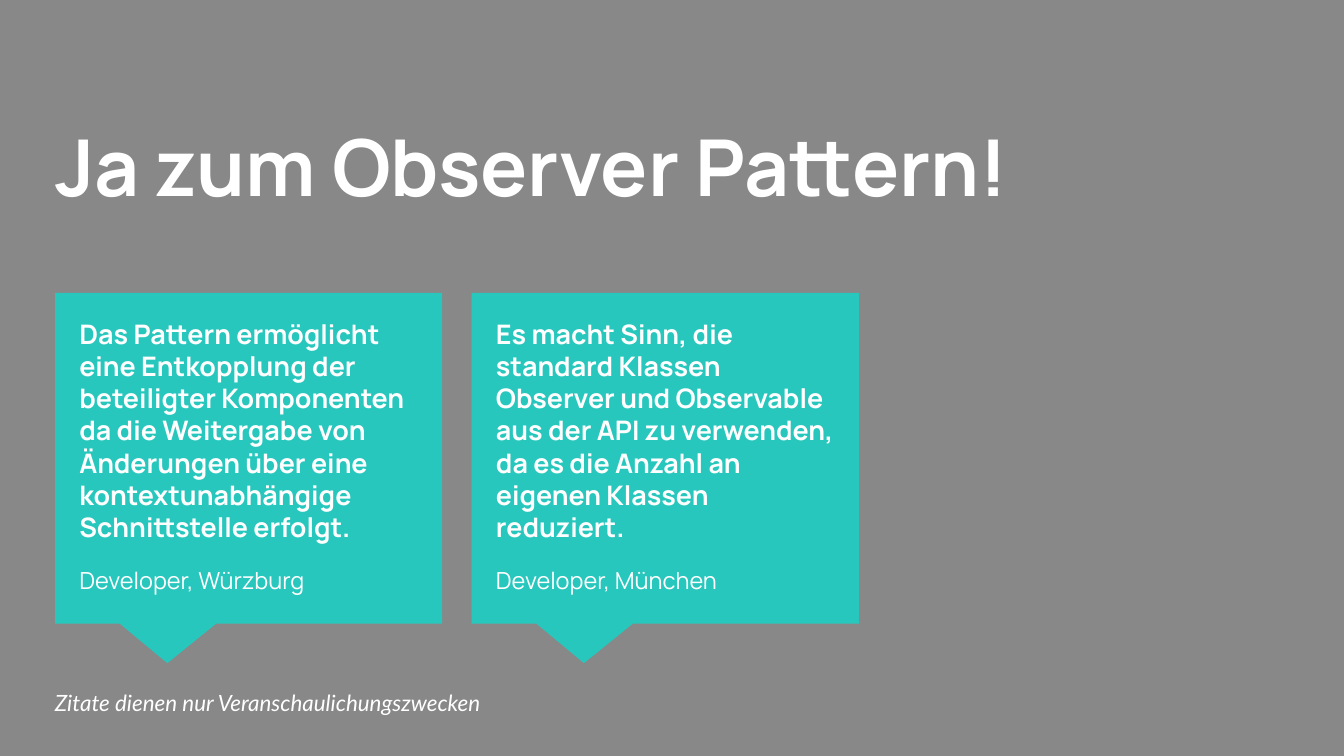
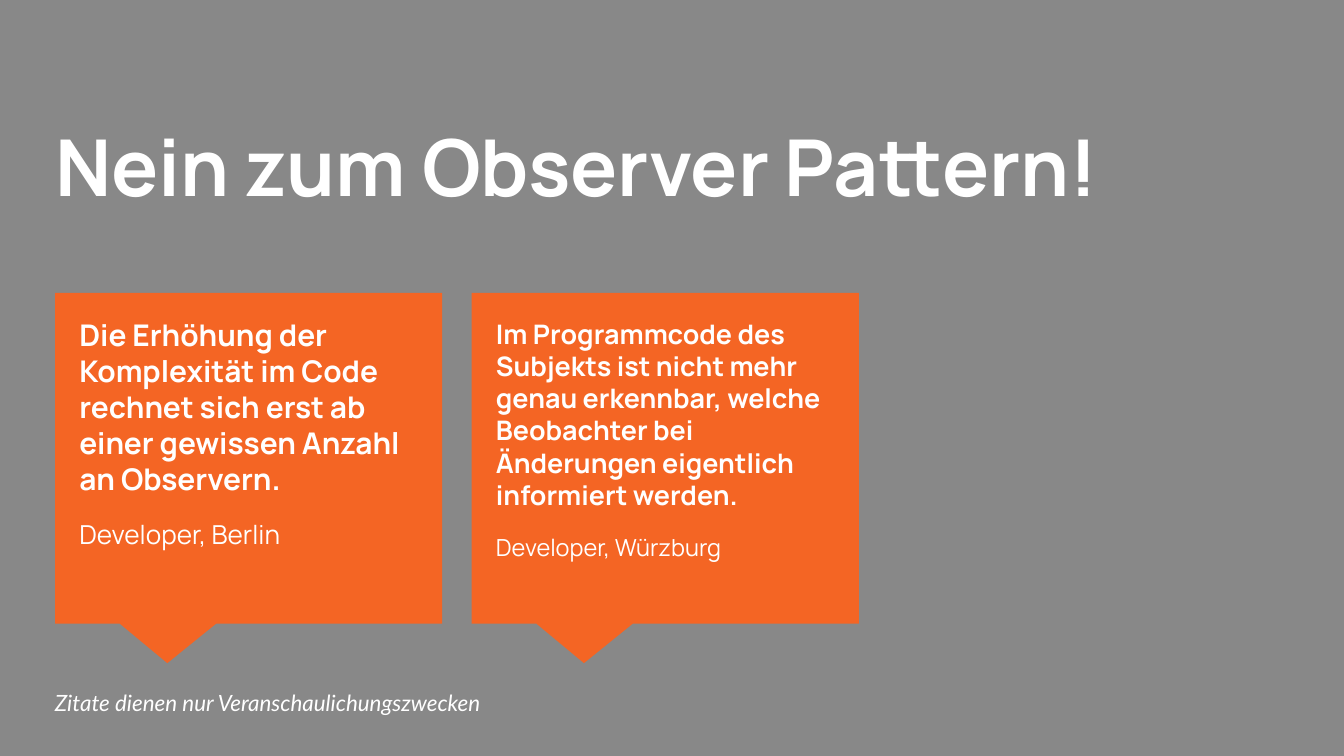
"""Build two slides of quotes for and against the observer pattern."""
from lxml import etree
from pptx import Presentation
from pptx.dml.color import RGBColor
from pptx.enum.shapes import MSO_SHAPE
from pptx.enum.text import MSO_ANCHOR, MSO_AUTO_SIZE, PP_ALIGN
from pptx.oxml.ns import qn
from pptx.util import Inches, Pt

CALLOUT = MSO_SHAPE.RECTANGULAR_CALLOUT
TOP, MIDDLE = MSO_ANCHOR.TOP, MSO_ANCHOR.MIDDLE
LEFT = PP_ALIGN.LEFT
NO_FIT = MSO_AUTO_SIZE.NONE

GREY, WHITE, TEAL, ORANGE = "888888", "FFFFFF", "27C7BD", "F46524"
HEADING_FONT, NOTE_FONT = "Manrope", "Lato"
TWO_CONTENT_LAYOUT = 3
CARD_LEFT, CARD_STEP = 0.41, 3.1
NOTE = "Zitate dienen nur Veranschaulichungszwecken"

SLIDES = [
    ("Ja zum Observer Pattern!", TEAL, [
        ("Das Pattern ermöglicht eine Entkopplung der beteiligter Komponenten "
         "da die Weitergabe von Änderungen über eine kontextunabhängige "
         "Schnittstelle erfolgt.", "Developer, Würzburg", 14.4, 12.6),
        ("Es macht Sinn, die standard Klassen Observer und Observable aus der "
         "API zu verwenden, da es die Anzahl an eigenen Klassen reduziert.",
         "Developer, München", 14.4, 12.6),
    ]),
    ("Nein zum Observer Pattern!", ORANGE, [
        ("Die Erhöhung der Komplexität im Code rechnet sich erst ab einer "
         "gewissen Anzahl an Observern.", "Developer, Berlin", 16, 14),
        ("Im Programmcode des Subjekts ist nicht mehr genau erkennbar, welche "
         "Beobachter bei Änderungen eigentlich informiert werden.",
         "Developer, Würzburg", 14.4, 12.6),
    ]),
]


def paint(fill, color):
    fill.solid()
    fill.fore_color.rgb = RGBColor.from_string(color)


def place(box, left, top, width, height):
    box.left, box.top = Inches(left), Inches(top)
    box.width, box.height = Inches(width), Inches(height)


def set_frame(box, anchor):
    frame = box.text_frame
    frame.word_wrap = True
    frame.auto_size = NO_FIT
    frame.vertical_anchor = anchor
    frame.margin_left = frame.margin_right = Inches(0.1)
    frame.margin_top = frame.margin_bottom = Inches(0.1)
    return frame


def style_paragraph(para, size, font=HEADING_FONT, bold=False, italic=False, gap=0):
    para.alignment = LEFT
    para.space_before = para.space_after = Pt(gap)
    for span in para.runs:
        span.font.name = font
        span.font.size = Pt(size)
        span.font.bold = bold
        span.font.italic = italic
        span.font.color.rgb = RGBColor.from_string(WHITE)


def remove_bullet(para):
    properties = para._p.get_or_add_pPr()
    properties.set("marL", "0")
    properties.set("indent", "0")
    etree.SubElement(properties, qn("a:buNone"))


def add_title(page, text):
    title = page.shapes.title
    place(title, 0.31, 0.78, 9.43, 1.12)
    frame = set_frame(title, TOP)
    frame.text = text
    style_paragraph(frame.paragraphs[0], 42, bold=True)


def add_callout(page, index, left, color):
    callout = page.shapes.add_shape(
        CALLOUT, Inches(left), Inches(2.18), Inches(2.88), Inches(2.46))
    callout.adjustments[0] = -0.21
    callout.adjustments[1] = 0.62
    callout.shadow.inherit = False
    paint(callout.fill, color)
    callout.line.fill.background()
    page.shapes._spTree.insert(3 + index, callout._element)


def add_quote(box, left, quote, author, quote_size, author_size):
    place(box, left + 0.08, 2.26, 2.72, 2.19)
    frame = set_frame(box, TOP)
    frame.text = f"{quote}\n{author}"
    quote_para, author_para = frame.paragraphs
    for para in frame.paragraphs:
        remove_bullet(para)
    style_paragraph(quote_para, quote_size, bold=True)
    style_paragraph(author_para, author_size, gap=12)


def add_note(page):
    box = page.shapes.add_textbox(
        Inches(0.31), Inches(5.09), Inches(6.83), Inches(0.28))
    frame = set_frame(box, MIDDLE)
    frame.text = NOTE
    style_paragraph(frame.paragraphs[0], 12, font=NOTE_FONT, italic=True)


def add_quote_page(deck, title, color, quotes):
    page = deck.slides.add_slide(deck.slide_layouts[TWO_CONTENT_LAYOUT])
    add_title(page, title)
    for index, quote in enumerate(quotes):
        left = CARD_LEFT + index * CARD_STEP
        add_callout(page, index, left, color)
        add_quote(page.placeholders[index + 1], left, *quote)
    add_note(page)


def main():
    deck = Presentation()
    deck.slide_width = Inches(10)
    deck.slide_height = Inches(10 * 9 / 16)
    paint(deck.slide_master.background.fill, GREY)
    for title, color, quotes in SLIDES:
        add_quote_page(deck, title, color, quotes)
    deck.save("out.pptx")


if __name__ == "__main__":
    main()
